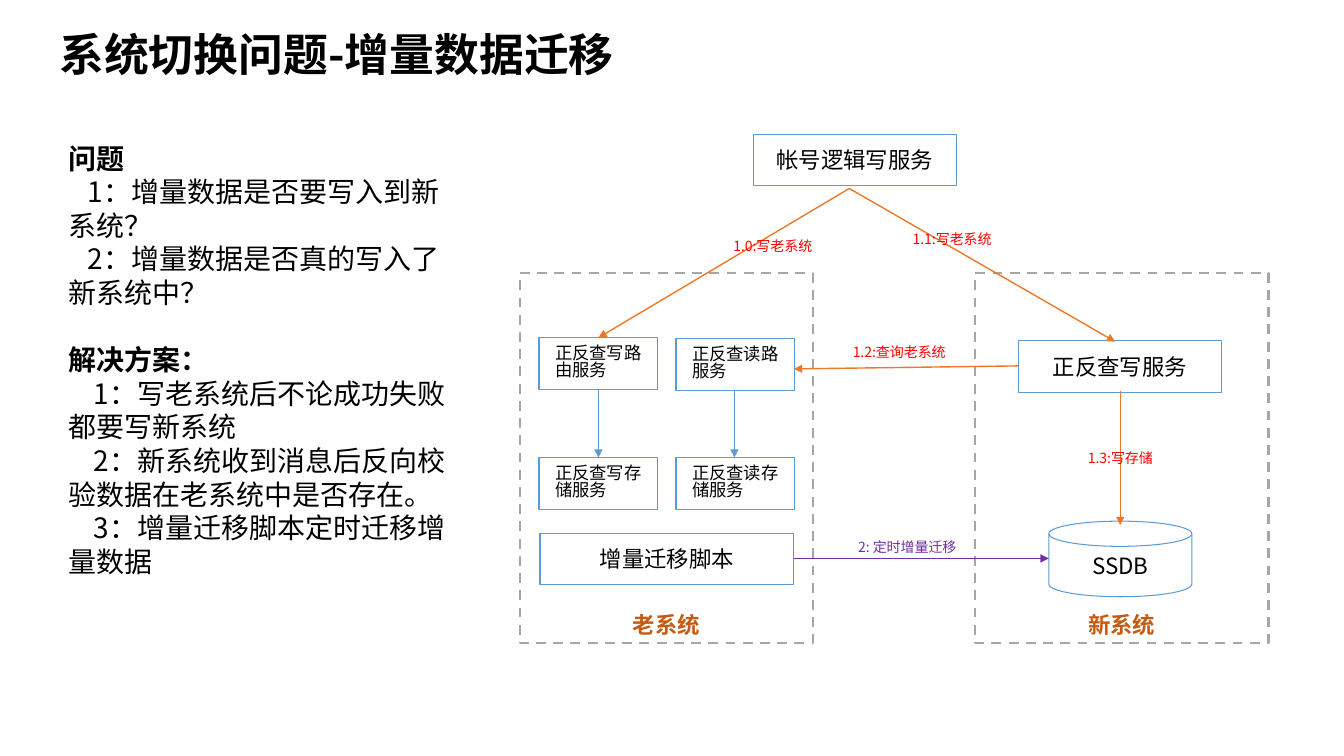
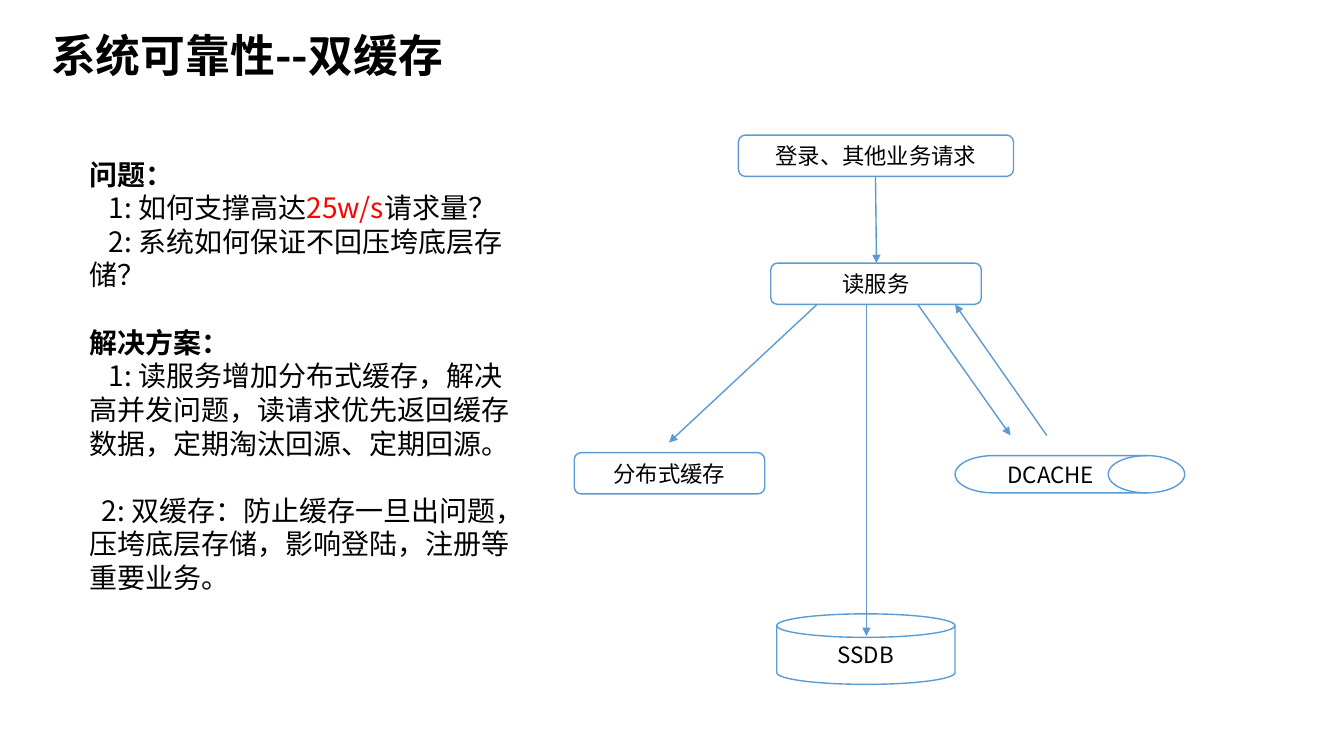
"""Build two slides on data migration and double caching."""
from pptx import Presentation
from pptx import util as u
from pptx.dml.color import RGBColor
from pptx.enum import dml, shapes, text
from pptx.oxml import parse_xml
from pptx.oxml.ns import nsdecls, qn

FONT = "Noto Sans CJK SC"
BLACK, BLUE, ORANGE, PURPLE = "000000", "5B9BD5", "EC792B", "7030A0"
RED, GREY, BROWN = "FF0000", "A6A6A6", "C55A11"
BODY_LINE, SMALL_LINE = 24, 11.8
KIND = shapes.MSO_SHAPE
PROCESS = KIND.FLOWCHART_PROCESS
ROUNDED = KIND.FLOWCHART_ALTERNATE_PROCESS
DISK = KIND.FLOWCHART_MAGNETIC_DISK
DRUM = KIND.FLOWCHART_DIRECT_ACCESS_STORAGE


def color(value):
    return RGBColor.from_string(value)


def add_run(p, words, size, rgb=BLACK, bold=False):
    r = p.add_run()
    r.text = words
    r.font.size = u.Pt(size)
    r.font.bold = bold
    r.font.color.rgb = color(rgb)
    r.font.name = FONT
    ea = parse_xml(f'<a:ea {nsdecls("a")} typeface="{FONT}"/>')
    r.font._element.find(qn("a:latin")).addnext(ea)


slides = [
    dict(
        title=("系统切换问题-增量数据迁移", 0.49, 0.07, 8.47),
        body_at=(0.58, 1.35, 3.97, 4.59),
        body=[
            (0, 0, True, [("问题", BLACK)]),
            (0.19, 0, False, [("1：增量数据是否要写入到新系统？", BLACK)]),
            (0.19, 0, False, [("2：增量数据是否真的写入了新系统中？", BLACK)]),
            (0, BODY_LINE, True, [("解决方案：", BLACK)]),
            (0.25, 0, False, [("1：写老系统后不论成功失败都要写新系统", BLACK)]),
            (0.25, 0, False, [("2：新系统收到消息后反向校验数据在老系统中是否存在。", BLACK)]),
            (0.25, 0, False, [("3：增量迁移脚本定时迁移增量数据", BLACK)]),
        ],
        line_width=0.75,
        boxes=[
            (PROCESS, "帐号逻辑写服务", 7.48, 1.33, 2.01, 0.51),
            (PROCESS, "增量迁移脚本", 5.36, 5.29, 2.52, 0.51),
            (PROCESS, "正反查写服务", 10.11, 3.38, 2.01, 0.51),
            (DISK, "SSDB", 10.41, 5.17, 1.42, 0.75),
        ],
        small_boxes=[
            ("正反查写路由服务", 5.35, 3.35),
            ("正反查读路服务", 6.71, 3.36),
            ("正反查写存储服务", 5.35, 4.54),
            ("正反查读存储服务", 6.71, 4.54),
        ],
        frames=[("老系统", 5.16), ("新系统", 9.68)],
        arrows=[
            (8.43, 1.87, 5.94, 3.35, ORANGE, 1),
            (8.43, 1.87, 11.07, 3.39, ORANGE, 1),
            (11.12, 3.88, 11.12, 5.21, ORANGE, 1),
            (10.11, 3.63, 7.88, 3.66, ORANGE, 1),
            (7.88, 5.54, 10.41, 5.54, PURPLE, 1),
            (5.94, 3.87, 5.94, 4.54, BLUE, 0.75),
            (7.29, 3.87, 7.29, 4.54, BLUE, 0.75),
        ],
        labels=[
            ("1.0:写老系统", 7.16, 2.3, 1.02, RED),
            ("1.1:写老系统", 8.94, 2.24, 1.02, RED),
            ("1.2:查询老系统", 8.35, 3.36, 1.15, RED),
            ("1.3:写存储", 10.68, 4.41, 0.88, RED),
            ("2: 定时增量迁移", 8.4, 5.29, 1.21, PURPLE),
        ],
    ),
    dict(
        title=("系统可靠性--双缓存", 0.41, 0.08, 5.01),
        body_at=(0.79, 1.51, 4.49, 4.97),
        body=[
            (0, 0, True, [("问题：", BLACK)]),
            (0.19, 0, False, [("1: 如何支撑高达", BLACK), ("25w/s", RED), ("请求量？", BLACK)]),
            (0.19, 0, False, [("2: 系统如何保证不回压垮底层存储？", BLACK)]),
            (0, BODY_LINE, True, [("解决方案：", BLACK)]),
            (0.19, 0, False, [("1: 读服务增加分布式缓存，解决高并发问题，"
                               "读请求优先返回缓存数据，定期淘汰回源、定期回源。", BLACK)]),
            (0.12, BODY_LINE, False, [("2: 双缓存：防止缓存一旦出问题，压垮底层存储，"
                                       "影响登陆，注册等重要业务。", BLACK)]),
        ],
        line_width=1,
        boxes=[
            (ROUNDED, "登录、其他业务请求", 7.33, 1.34, 2.73, 0.41),
            (ROUNDED, "读服务", 7.65, 2.61, 2.09, 0.41),
            (ROUNDED, "分布式缓存", 5.7, 4.49, 1.89, 0.41),
            (DRUM, "DCACHE", 9.48, 4.52, 2.28, 0.37),
            (DISK, "SSDB", 7.71, 6.09, 1.77, 0.7),
        ],
        small_boxes=[],
        frames=[],
        arrows=[
            (8.69, 1.75, 8.7, 2.61, BLUE, 1),
            (8.11, 3.02, 6.64, 4.39, BLUE, 1),
            (8.6, 3.02, 8.6, 6.31, BLUE, 1),
            (9.11, 3.02, 10.03, 4.32, BLUE, 1),
            (10.39, 4.32, 9.48, 3.02, BLUE, 1),
        ],
        labels=[],
    ),
]

prs = Presentation()
prs.slide_width, prs.slide_height = u.Inches(13.34), u.Inches(7.5)

for content in slides:
    s = prs.slides.add_slide(prs.slide_layouts[6])

    title, x, y, w = content["title"]
    tf = s.shapes.add_textbox(u.Inches(x), u.Inches(y), u.Inches(w), u.Inches(0.92)).text_frame
    tf.word_wrap = True
    tf.vertical_anchor = text.MSO_ANCHOR.MIDDLE
    add_run(tf.paragraphs[0], title, 32, bold=True)

    tf = s.shapes.add_textbox(*map(u.Inches, content["body_at"])).text_frame
    tf.word_wrap = True
    for i, (indent, before, bold, runs) in enumerate(content["body"]):
        p = tf.add_paragraph() if i else tf.paragraphs[0]
        p._p.get_or_add_pPr().set("indent", str(u.Inches(indent)))
        p.line_spacing = u.Pt(BODY_LINE)
        p.space_before = u.Pt(before)
        for words, rgb in runs:
            add_run(p, words, 20, rgb, bold)

    for kind, words, *place in content["boxes"]:
        sp = s.shapes.add_shape(kind, *map(u.Inches, place))
        sp.shadow.inherit = False
        sp.fill.background()
        sp.line.color.rgb = color(BLUE)
        sp.line.width = u.Pt(content["line_width"])
        tf = sp.text_frame
        tf.vertical_anchor = text.MSO_ANCHOR.MIDDLE
        p = tf.paragraphs[0]
        p.alignment = text.PP_ALIGN.CENTER
        add_run(p, words, 16)

    for words, x, y in content["small_boxes"]:
        sp = s.shapes.add_shape(PROCESS, u.Inches(x), u.Inches(y), u.Inches(1.18), u.Inches(0.51))
        sp.shadow.inherit = False
        sp.fill.background()
        sp.line.color.rgb = color(BLUE)
        sp.line.width = u.Pt(content["line_width"])
        tf = sp.text_frame
        tf.margin_left = u.Inches(0.16)
        tf.vertical_anchor = text.MSO_ANCHOR.MIDDLE
        p = tf.paragraphs[0]
        p.alignment = text.PP_ALIGN.LEFT
        p.line_spacing = u.Pt(SMALL_LINE)
        add_run(p, words, 12.4)

    for words, x in content["frames"]:
        sp = s.shapes.add_shape(KIND.RECTANGLE, u.Inches(x), u.Inches(2.71), u.Inches(2.91), u.Inches(3.67))
        sp.shadow.inherit = False
        sp.fill.background()
        sp.line.color.rgb = color(GREY)
        sp.line.width = u.Pt(1.75)
        sp.line.dash_style = dml.MSO_LINE.DASH
        tf = sp.text_frame
        tf.vertical_anchor = text.MSO_ANCHOR.BOTTOM
        p = tf.paragraphs[0]
        p.alignment = text.PP_ALIGN.CENTER
        add_run(p, words, 16, BROWN, True)

    for *ends, rgb, width in content["arrows"]:
        cx = s.shapes.add_connector(shapes.MSO_CONNECTOR.STRAIGHT, *map(u.Inches, ends))
        cx.line.color.rgb = color(rgb)
        cx.line.width = u.Pt(width)
        sppr = cx._element.spPr
        sppr.find(qn("a:ln")).append(parse_xml(f'<a:tailEnd {nsdecls("a")} type="triangle"/>'))
        sppr.append(parse_xml(f'<a:effectLst {nsdecls("a")}/>'))

    for words, x, y, w, rgb in content["labels"]:
        tf = s.shapes.add_textbox(u.Inches(x), u.Inches(y), u.Inches(w), u.Inches(0.27)).text_frame
        tf.word_wrap = False
        tf.vertical_anchor = text.MSO_ANCHOR.MIDDLE
        p = tf.paragraphs[0]
        p.alignment = text.PP_ALIGN.CENTER
        add_run(p, words, 10, rgb)

prs.save("out.pptx")
